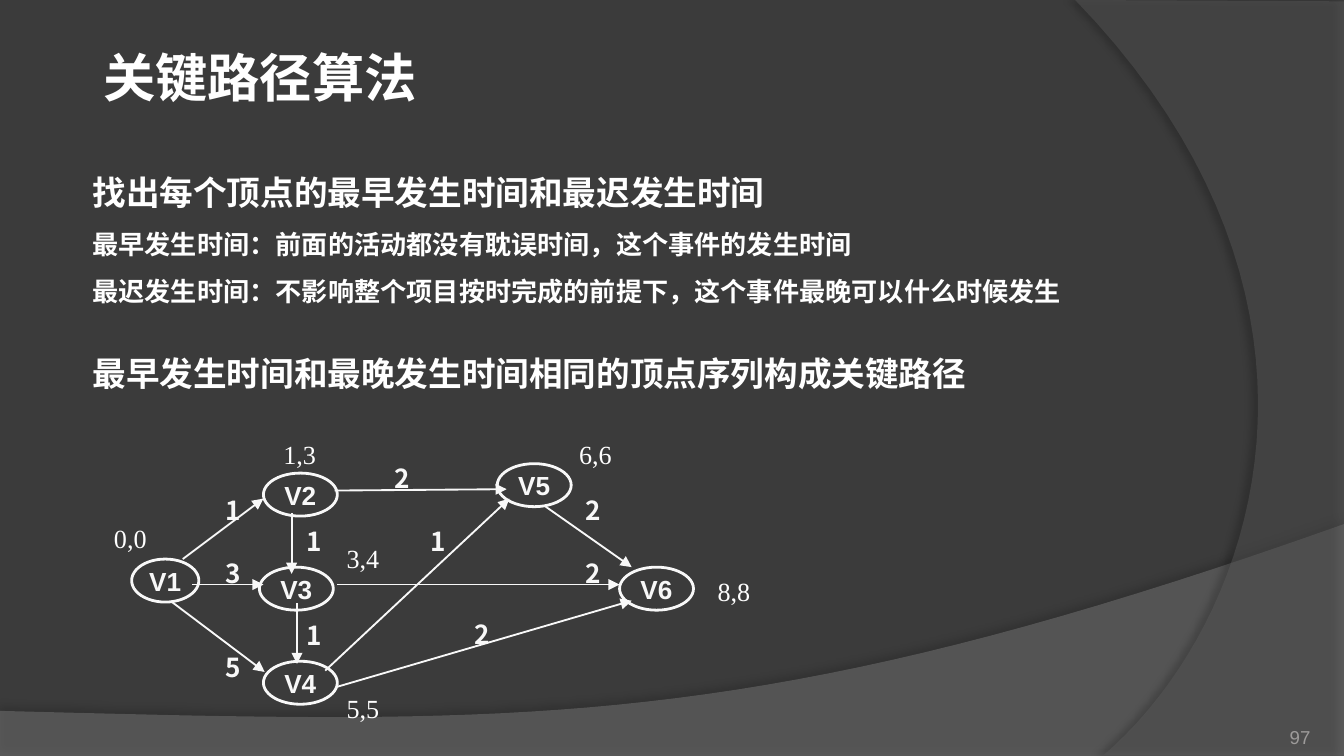
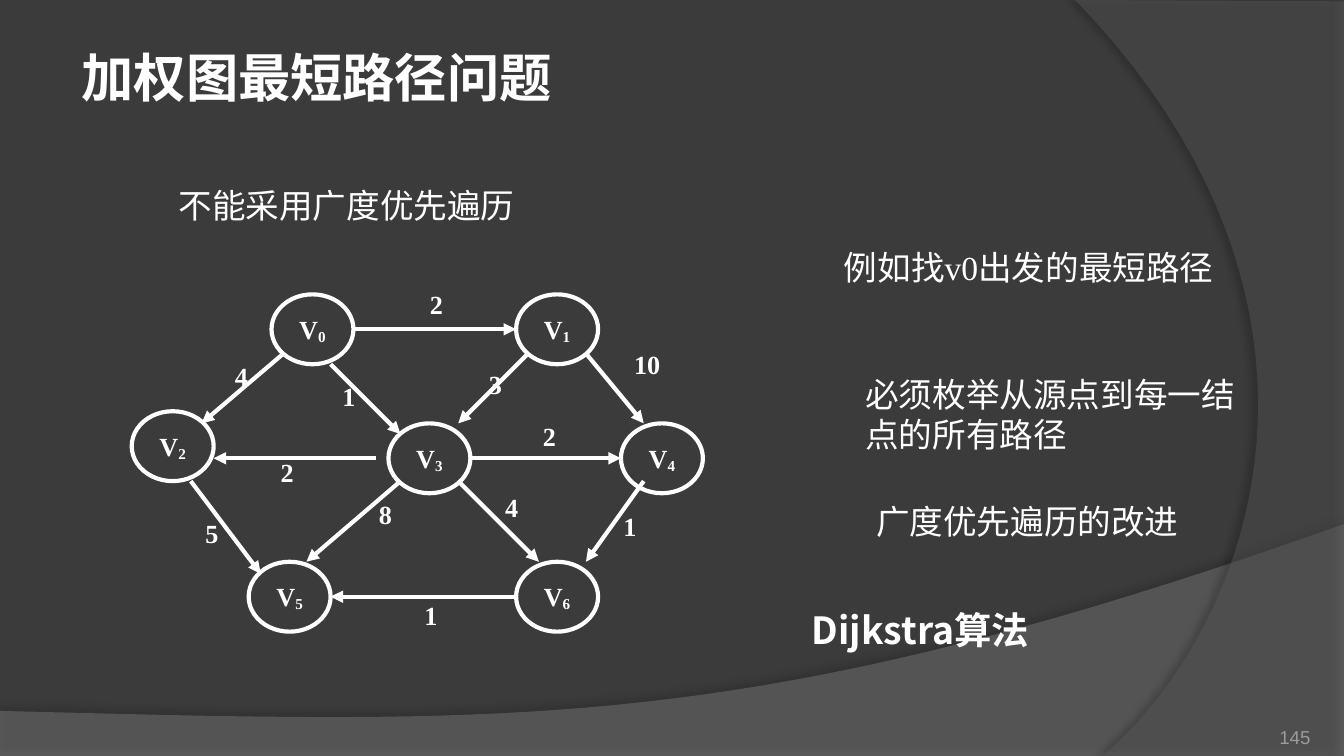
from lxml.etree import SubElement
from pptx import Presentation
from pptx.dml.color import RGBColor
from pptx.enum.shapes import MSO_CONNECTOR, MSO_SHAPE
from pptx.enum.text import MSO_ANCHOR, PP_ALIGN
from pptx.oxml.ns import qn
from pptx.util import Inches, Pt

BACKGROUND = RGBColor(0x3B, 0x3B, 0x3B)
BAND = RGBColor(0x7F, 0x7F, 0x7F)
SIDE = RGBColor(0x5E, 0x5E, 0x5E)
WHITE = RGBColor(0xFF, 0xFF, 0xFF)
OFF_WHITE = RGBColor(0xF8, 0xF8, 0xF8)
PAGE_GREY = RGBColor(0x9D, 0x9B, 0x9A)

CJK = "Noto Sans CJK SC"
SANS = "Arial"
SERIF = "Times New Roman"
NO_INSET = (0, 0, 0, 0)
INSET = (0.1, 0.05, 0.1, 0.05)
LINE_RATIO = 1.2  # line pitch of Chinese text, in font sizes


# Text
def add_run(p, text, size=14, font=SERIF, color=WHITE, bold=False, baseline=0):
    r = p.add_run()
    r.text = text
    r.font.size = Pt(size)
    r.font.bold = bold
    r.font.color.rgb = color
    r.font.name = font
    props = r._r.get_or_add_rPr()
    SubElement(props, qn("a:ea")).set("typeface", CJK)
    if baseline:
        props.set("baseline", str(baseline * 1000))


def write(p, text, align=PP_ALIGN.LEFT, before=0, fixed=False, **fmt):
    p.alignment = align
    if before:
        p.space_before = Pt(before)
    if fixed:
        p.line_spacing = Pt(round(LINE_RATIO * fmt["size"], 1))
    add_run(p, text, **fmt)


def set_frame(tf, inset=INSET, anchor=MSO_ANCHOR.TOP, wrap=True):
    tf.word_wrap = wrap
    tf.vertical_anchor = anchor
    (tf.margin_left, tf.margin_top,
     tf.margin_right, tf.margin_bottom) = map(Inches, inset)
    return tf


def add_text(s, text, x, y, w, h, inset=INSET, anchor=MSO_ANCHOR.TOP, **fmt):
    box = s.shapes.add_textbox(Inches(x), Inches(y), Inches(w), Inches(h))
    tf = set_frame(box.text_frame, inset, anchor)
    write(tf.paragraphs[0], text, **fmt)
    return tf


# Background bands
def bezier(p0, p1, p2, p3, steps=40):
    points = []
    for i in range(steps + 1):
        t = i / steps
        u = 1 - t
        weights = (u**3, 3 * u * u * t, 3 * u * t * t, t**3)
        points.append(tuple(sum(k * p[axis] for k, p in zip(weights, (p0, p1, p2, p3)))
                            for axis in (0, 1)))
    return points


def add_band(s, points, color, alpha, shadow_alpha, distance, direction):
    start, *rest = [(Inches(x), Inches(y)) for x, y in points]
    builder = s.shapes.build_freeform(*start)
    builder.add_line_segments(rest, close=True)
    sp = builder.convert_to_shape()
    sp.fill.solid()
    sp.fill.fore_color.rgb = color
    sp.line.fill.background()
    fill = sp._element.spPr.find(qn("a:solidFill"))
    SubElement(fill[0], qn("a:alpha")).set("val", str(alpha * 1000))
    sp.shadow.inherit = False
    effects = sp._element.spPr.find(qn("a:effectLst"))
    shadow = SubElement(effects, qn("a:outerShdw"), blurRad=str(Pt(4)),
                        dist=str(Pt(distance)), dir=str(direction * 60000),
                        algn="ctr", rotWithShape="0")
    black = SubElement(shadow, qn("a:srgbClr"), val="000000")
    SubElement(black, qn("a:alpha")).set("val", str(shadow_alpha * 1000))


def new_slide(prs, title, title_x, title_w, page):
    s = prs.slides.add_slide(prs.slide_layouts[6])
    s.background.fill.solid()
    s.background.fill.fore_color.rgb = BACKGROUND
    lower = bezier((10, 3.9), (5.59, 5.47), (3.91, 5.39), (0, 5.29))
    add_band(s, [(0, 5.63), (10, 5.63)] + lower, BAND, 45, 35, 3.5, 270)
    right = bezier((8.21, 5.62), (9.35, 4.64), (10.18, 2.25), (8, 0))
    add_band(s, [(10, 0.01), (10, 5.62)] + right, SIDE, 40, 45, 4, 180)
    add_text(s, title, title_x, 0.29, title_w, 0.57, size=28, font=CJK,
             bold=True, fixed=True)
    add_text(s, page, 8.92, 5.27, 0.83, 0.3, inset=NO_INSET, size=10, font=SANS,
             anchor=MSO_ANCHOR.BOTTOM, color=PAGE_GREY, align=PP_ALIGN.RIGHT)
    return s


# Graph parts
def add_node(s, name, x, y, w, h, color, width, sub="", font=SERIF, inset=INSET):
    sp = s.shapes.add_shape(MSO_SHAPE.OVAL, Inches(x), Inches(y), Inches(w), Inches(h))
    sp.shadow.inherit = False
    sp.fill.background()
    sp.line.color.rgb = color
    sp.line.width = Pt(width)
    tf = set_frame(sp.text_frame, inset, MSO_ANCHOR.MIDDLE, wrap=not sub)
    p = tf.paragraphs[0]
    write(p, name, align=PP_ALIGN.CENTER, font=font, color=color, bold=True)
    if sub:
        add_run(p, sub, font=font, color=color, bold=True, baseline=-10)


def add_arrow(s, x1, y1, x2, y2, color, width):
    c = s.shapes.add_connector(MSO_CONNECTOR.STRAIGHT, Inches(x1), Inches(y1),
                               Inches(x2), Inches(y2))
    c.line.color.rgb = color
    c.line.width = Pt(width)
    SubElement(c.line._get_or_add_ln(), qn("a:tailEnd")).set("type", "triangle")
    SubElement(c._element.spPr, qn("a:effectLst"))


def add_weights(s, first, others, x, y, w, h):
    """One column of edge weights; others holds (weight, lines skipped above)."""
    fmt = dict(size=14, font=CJK, color=OFF_WHITE, bold=True,
               align=PP_ALIGN.CENTER, fixed=True)
    tf = add_text(s, first, x, y, w, h, inset=NO_INSET, **fmt)
    for weight, skipped in others:
        write(tf.add_paragraph(), weight, before=skipped * 14 * LINE_RATIO, **fmt)


def critical_path_slide(prs):
    s = new_slide(prs, "关键路径算法", 0.67, 3.31, "97")

    # Explanation
    tf = add_text(s, "找出每个顶点的最早发生时间和最迟发生时间", 0.59, 1.08, 7.87, 2.2,
                  inset=(0.1, 0.2, 0.1, 0.05), size=18, font=CJK, bold=True, fixed=True)
    for text, size, font, before in [
        ("最早发生时间：前面的活动都没有耽误时间，这个事件的发生时间", 14, SANS, 8.5),
        ("最迟发生时间：不影响整个项目按时完成的前提下，这个事件最晚可以什么时候发生",
         14, SANS, 8.5),
        ("最早发生时间和最晚发生时间相同的顶点序列构成关键路径", 18, CJK, 24.5),
    ]:
        write(tf.add_paragraph(), text, size=size, font=font, bold=True,
              before=before, fixed=True)

    # Earliest and latest times
    for times, x, y, w in [("0,0", 0.75, 3.84, 0.47), ("1,3", 2.01, 3.21, 0.55),
                           ("3,4", 2.48, 3.99, 0.55), ("5,5", 2.48, 5.1, 0.55),
                           ("6,6", 4.21, 3.21, 0.55), ("8,8", 5.24, 4.23, 0.55)]:
        add_text(s, times, x, y, w, 0.34)

    # Edges
    for edge in [(2.49, 3.65, 3.77, 3.64), (1.43, 4.35, 1.96, 4.35),
                 (2.17, 3.82, 2.17, 4.27), (1.36, 4.16, 1.96, 3.71),
                 (2.21, 4.49, 2.21, 4.94), (2.51, 4.35, 4.61, 4.35),
                 (1.28, 4.48, 1.97, 5), (4.06, 3.77, 4.7, 4.22),
                 (2.51, 5.11, 4.7, 4.47), (2.42, 4.99, 3.79, 3.71)]:
        add_arrow(s, *edge, OFF_WHITE, 1)

    # Vertices
    for name, x, y, w in [("V1", 0.98, 4.16, 0.5), ("V2", 1.96, 3.52, 0.55),
                          ("V3", 1.93, 4.22, 0.55), ("V4", 1.96, 4.92, 0.55),
                          ("V5", 3.7, 3.45, 0.55), ("V6", 4.61, 4.22, 0.55)]:
        add_node(s, name, x, y, w, 0.32, OFF_WHITE, 1.5, font=SANS, inset=NO_INSET)

    # Edge weights
    add_weights(s, "1", [("3", 1), ("5", 2)], 1.49, 3.68, 0.49, 0.66)
    add_weights(s, "1", [("1", 2)], 2.09, 3.91, 0.49, 1)
    add_weights(s, "2", [("2", 1)], 4.15, 3.68, 0.52, 0.66)
    add_weights(s, "2", [], 2.73, 3.44, 0.52, 0.33)
    add_weights(s, "2", [], 3.33, 4.6, 0.52, 0.41)
    add_weights(s, "1", [], 3, 3.91, 0.52, 0.28)


def shortest_path_slide(prs):
    s = new_slide(prs, "加权图最短路径问题", 0.51, 6.54, "145")

    # Vertices
    for sub, x, y in [("0", 2.02, 2.19), ("1", 3.84, 2.19), ("2", 0.98, 3.06),
                      ("3", 2.89, 3.15), ("4", 4.62, 3.15), ("5", 1.85, 4.18),
                      ("6", 3.84, 4.18)]:
        add_node(s, "V", x, y, 0.61, 0.52, WHITE, 2.25, sub=sub)

    # Edges
    for edge in [(2.11, 2.63, 1.5, 3.15), (2.63, 2.45, 3.84, 2.45),
                 (1.42, 3.58, 1.94, 4.27), (2.46, 2.71, 2.98, 3.23),
                 (3.93, 2.63, 3.41, 3.15), (4.36, 2.63, 4.79, 3.15),
                 (2.8, 3.41, 1.59, 3.41), (2.98, 3.58, 2.28, 4.18),
                 (3.41, 3.58, 4.01, 4.18), (3.5, 3.41, 4.62, 3.41),
                 (4.79, 3.58, 4.36, 4.18), (3.84, 4.44, 2.46, 4.44)]:
        add_arrow(s, *edge, WHITE, 2.25)

    # Edge weights
    for weight, x, y, w in [("4", 1.65, 2.63, 0.26), ("2", 3.1, 2.1, 0.26),
                            ("1", 2.45, 2.78, 0.26), ("2", 1.99, 3.35, 0.26),
                            ("5", 1.43, 3.8, 0.26), ("3", 3.54, 2.69, 0.26),
                            ("10", 4.62, 2.54, 0.69), ("2", 3.94, 3.08, 0.35),
                            ("4", 3.66, 3.61, 0.26), ("8", 2.72, 3.66, 0.26),
                            ("1", 3.06, 4.41, 0.26), ("1", 4.54, 3.75, 0.26)]:
        add_text(s, weight, x, y, w, 0.27, inset=(0.1, 0.05, 0, 0), bold=True)

    # Remarks
    for text, x, y, w, h in [
        ("不能采用广度优先遍历", 1.23, 1.33, 3.15, 0.4),
        ("例如找v0出发的最短路径", 6.18, 1.79, 3.15, 0.4),
        ("必须枚举从源点到每一结点的所有路径", 6.34, 2.73, 3.15, 0.71),
        ("广度优先遍历的改进", 6.42, 3.68, 2.83, 0.4),
    ]:
        add_text(s, text, x, y, w, h, size=18, fixed=True)
    add_text(s, "Dijkstra算法", 5.94, 4.47, 1.85, 0.44, size=20, font=CJK,
             bold=True, fixed=True)


def main():
    prs = Presentation()
    prs.slide_width = Inches(10)
    prs.slide_height = Inches(10 * 9 / 16)
    critical_path_slide(prs)
    shortest_path_slide(prs)
    prs.save("out.pptx")


if __name__ == "__main__":
    main()
